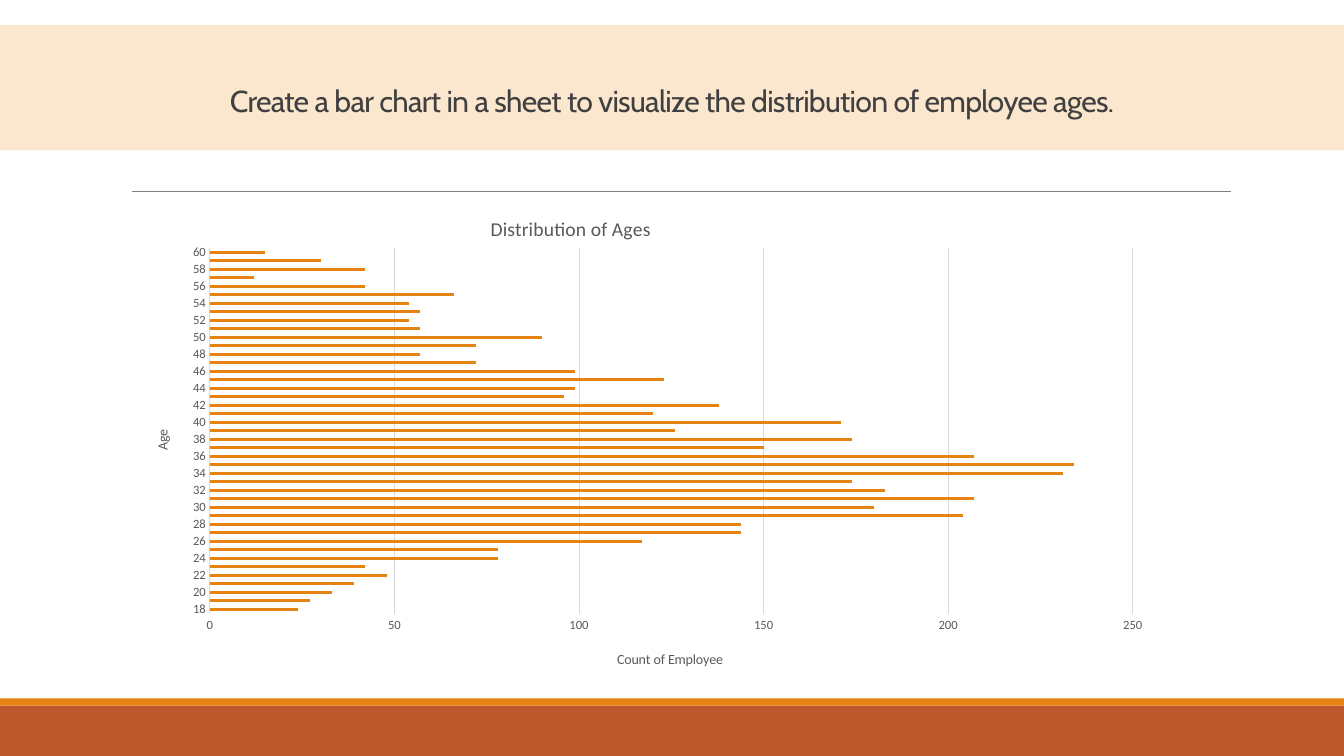
"""Build a slide with a bar chart of employee ages."""
from lxml import etree
from pptx import Presentation
from pptx import util as u
from pptx.chart.data import CategoryChartData
from pptx.dml.color import RGBColor
from pptx.enum import chart as charts, shapes, text
from pptx.oxml.ns import qn

ORANGE, GREY, PALE = "E48312", "595959", "D9D9D9"
FIRST_AGE = 18
COUNTS = (24, 27, 33, 39, 48, 42, 78, 78, 117, 144, 144, 204, 180, 207, 183,
          174, 231, 234, 207, 150, 174, 126, 171, 120, 138, 96, 99, 123, 99,
          72, 57, 72, 90, 57, 54, 57, 54, 66, 42, 12, 42, 30, 15)


def color(value):
    """Turn a hex string into a colour."""
    return RGBColor.from_string(value)


def set_font(font, size, fill, name="Calibri"):
    """Apply size, colour and typeface to a font."""
    for key, value in {"size": u.Pt(size), "name": name, "bold": False}.items():
        setattr(font, key, value)
    font.color.rgb = color(fill)


def add_band(page, top, height, fill):
    """Add a full-width filled rectangle."""
    band = page.shapes.add_shape(shapes.MSO_SHAPE.RECTANGLE, 0, u.Inches(top),
                                 u.Inches(13.33), u.Inches(height))
    band.shadow.inherit = False
    band.fill.solid()
    band.fill.fore_color.rgb = color(fill)
    band.line.fill.background()
    return band


def add_heading(page, words):
    """Add the heading band with its centred text."""
    frame = add_band(page, 0.25, 1.24, "FBE6CE").text_frame
    settings = {"word_wrap": True, "margin_top": u.Inches(0.3), "margin_bottom": 0,
                "vertical_anchor": text.MSO_ANCHOR.MIDDLE}
    for key, value in settings.items():
        setattr(frame, key, value)
    para = frame.paragraphs[0]
    para.alignment = text.PP_ALIGN.CENTER
    para.line_spacing = 0.85
    span = para.add_run()
    span.text = words
    set_font(span.font, 21.6, "404040", "Cabin")
    span.font._element.set("spc", "-50")


def add_rule(page, left, right, top):
    """Add a thin horizontal line."""
    rule = page.shapes.add_connector(shapes.MSO_CONNECTOR.STRAIGHT, u.Inches(left),
                                     u.Inches(top), u.Inches(right), u.Inches(top))
    rule.line.color.rgb = color("808080")
    rule.line.width = u.Pt(0.5)
    etree.SubElement(rule._element.spPr, qn("a:effectLst"))


def set_layout(parent, index, **values):
    """Place a chart part by fractions of the chart area."""
    for old in parent.findall(qn("c:layout")):
        parent.remove(old)
    layout = etree.Element(qn("c:layout"))
    parent.insert(index, layout)
    manual = etree.SubElement(layout, qn("c:manualLayout"))
    for key, value in values.items():
        etree.SubElement(manual, qn(f"c:{key}")).set("val", str(value))


def set_title(title, words, size, left, top, turn=0):
    """Write, style and place a chart or axis title."""
    frame = title.text_frame
    frame.text = words
    set_font(frame.paragraphs[0].runs[0].font, size, GREY)
    frame._txBody.find(qn("a:bodyPr")).set("rot", str(turn * 60000))
    set_layout(title._element, 1, xMode="edge", yMode="edge", x=left, y=top)


def style_axis(axis):
    """Remove tick marks and style the labels of an axis."""
    axis.major_tick_mark = axis.minor_tick_mark = charts.XL_TICK_MARK.NONE
    set_font(axis.tick_labels.font, 9, GREY)


def style_line(line):
    """Draw a pale thin chart line."""
    line.color.rgb = color(PALE)
    line.width = u.Pt(0.75)


def add_age_chart(page):
    """Add the bar chart of employees by age."""
    data = CategoryChartData(number_format="0")
    data.categories = [str(FIRST_AGE + step) for step in range(len(COUNTS))]
    data.add_series("Series 1", COUNTS)
    chart = page.shapes.add_chart(
        charts.XL_CHART_TYPE.BAR_STACKED, u.Inches(0.92), u.Inches(2),
        u.Inches(11.5), u.Inches(4.76), data).chart
    set_font(chart.font, 10, "000000")
    chart.has_legend = False
    set_title(chart.chart_title, "Distribution of Ages", 14, 0.34, 0.02)

    plot = chart.plots[0]
    for key, value in {"gap_width": 182, "overlap": 100,
                       "vary_by_categories": False}.items():
        setattr(plot, key, value)
    bars = plot.series[0].format.fill
    bars.solid()
    bars.fore_color.rgb = color(ORANGE)

    ages, counts = chart.category_axis, chart.value_axis
    style_axis(ages)
    style_axis(counts)
    ages.has_major_gridlines = False
    style_line(ages.format.line)
    style_line(counts.major_gridlines.format.line)
    counts.format.line.fill.background()
    counts.minimum_scale, counts.maximum_scale, counts.major_unit = 0, 250, 50
    set_title(ages.axis_title, "Age", 10, 0.05, 0.47, turn=-90)
    set_title(counts.axis_title, "Count of Employee", 10, 0.45, 0.93)
    set_layout(chart._chartSpace.chart.plotArea, 0, layoutTarget="inner",
               xMode="edge", yMode="edge", x=0.101, y=0.097, w=0.796, h=0.762)


def main():
    """Build and save the deck."""
    deck = Presentation()
    deck.slide_width, deck.slide_height = u.Inches(13.33), u.Inches(7.5)
    page = deck.slides.add_slide(deck.slide_layouts[6])
    add_band(page, 7, 0.5, "BD582C")
    add_band(page, 6.93, 0.07, ORANGE)
    add_rule(page, 1.31, 12.21, 1.9)
    add_heading(page, "Create a bar chart in a sheet to visualize the "
                      "distribution of employee ages.")
    add_age_chart(page)
    deck.save("out.pptx")


if __name__ == "__main__":
    main()
